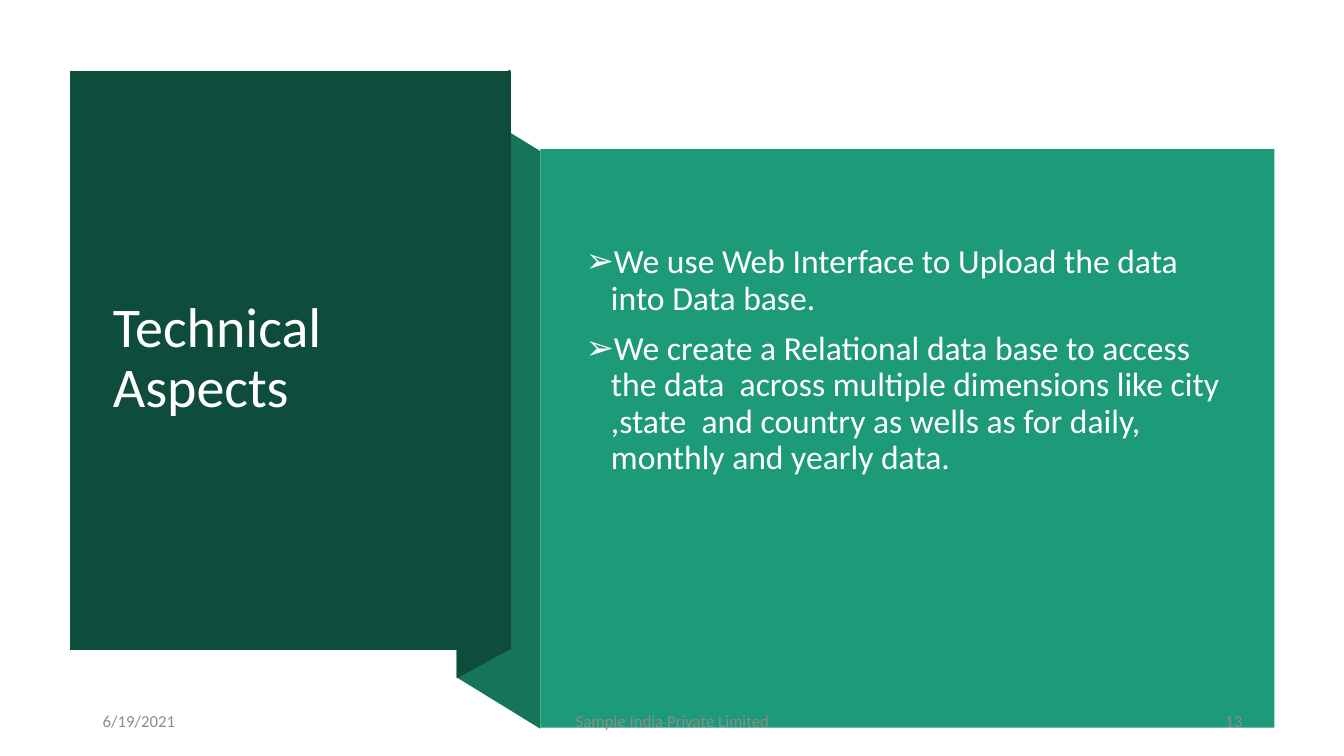
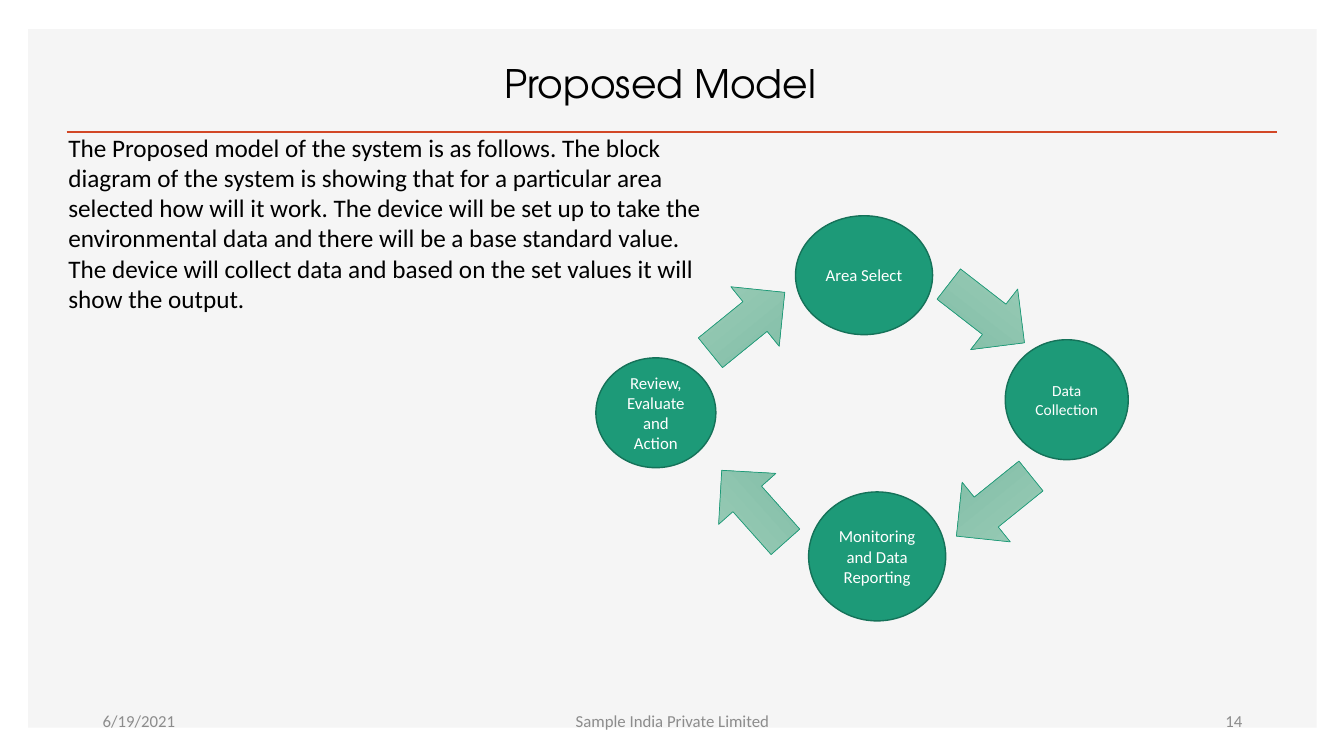
import dataclasses
import typing

import lxml.etree
import pptx
import pptx.dml.color
import pptx.enum.shapes
import pptx.enum.text
import pptx.oxml.ns
import pptx.util

Inches = pptx.util.Inches
Align = pptx.enum.text.PP_ALIGN
Anchor = pptx.enum.text.MSO_ANCHOR
Preset = pptx.enum.shapes.MSO_SHAPE


# Theme: colours, fonts and type sizes
@dataclasses.dataclass(frozen=True)
class Theme:
    white: str = "FFFFFF"
    black: str = "000000"
    green: str = "1D9A78"
    green_outline: str = "157259"
    fold_green: str = "16745A"
    dark_green: str = "0E4D3C"
    arrow_light: str = "9ECDBA"
    arrow_dark: str = "7DBCA3"
    backdrop: str = "F5F5F5"
    rule: str = "D24726"
    footer_grey: str = "8C8C8C"
    font: str = "Calibri"
    heading_font: str = "TeX Gyre Adventor"
    title_size: int = 40
    heading_size: int = 28
    list_size: int = 24
    text_size: int = 18
    small_size: int = 12
    tiny_size: int = 11


THEME = Theme()


class Box(typing.NamedTuple):
    left: float
    top: float
    width: float
    height: float


@dataclasses.dataclass(frozen=True)
class TextStyle:
    size: int
    color: str
    font: str = THEME.font
    align: Align = Align.LEFT
    anchor: Anchor = Anchor.MIDDLE
    line_spacing: float = 1.0
    space_before: float = 0


@dataclasses.dataclass(frozen=True)
class Outline:
    points: tuple[tuple[float, float], ...]
    color: str


@dataclasses.dataclass(frozen=True)
class Stage:
    text: str
    box: Box
    size: int = THEME.small_size


class Arrow(typing.NamedTuple):
    left: float
    top: float
    rotation: float


class FooterPart(typing.NamedTuple):
    text: str
    left: float
    width: float
    align: Align


TITLE = TextStyle(THEME.title_size, THEME.white, line_spacing=0.9)
HEADING = TextStyle(THEME.heading_size, THEME.black, THEME.heading_font, anchor=Anchor.TOP)
LIST = TextStyle(THEME.list_size, THEME.white, anchor=Anchor.TOP,
                 line_spacing=0.9, space_before=10)
BODY = TextStyle(THEME.text_size, THEME.black, anchor=Anchor.TOP)

# Slide content
DATE = "6/19/2021"
COMPANY = "Sample India Private Limited"
BULLETS = [
    "We use Web Interface to Upload the data into Data base.",
    "We create a Relational data base to access the data  across multiple dimensions "
    "like city ,state  and country as wells as for daily, monthly and yearly data.",
]
MODEL_TEXT = (
    "The Proposed model of the system is as follows. The block diagram of the system "
    "is showing that for a particular area selected how will it work. The device will "
    "be set up to take the environmental data and there will be a base standard value. "
    "The device will collect data and based on the set values it will show the output."
)
RIBBON = [
    Outline(((5.36, 7.23), (4.53, 6.72), (4.53, 0.99), (5.36, 1.5)), THEME.fold_green),
    Outline(((5.06, 6.44), (4.53, 6.73), (4.53, 0.98), (5.06, 0.69)), THEME.dark_green),
    Outline(((0.69, 0.7), (5.07, 0.7), (5.07, 6.45), (0.69, 6.45)), THEME.dark_green),
]
STAGES = [
    Stage("Area Select", Box(7.89, 2.14, 1.36, 1.18)),
    Stage("Data Collection", Box(9.97, 3.37, 1.22, 1.19), THEME.tiny_size),
    Stage("Monitoring and Data Reporting", Box(8.02, 4.88, 1.36, 1.28)),
    Stage("Review, Evaluate and Action", Box(5.91, 3.55, 1.19, 1.09)),
]
ARROWS = [
    Arrow(9.31, 2.73, 37.8),
    Arrow(9.38, 4.64, 141.1),
    Arrow(7, 4.64, 228.3),
    Arrow(6.94, 2.82, 320.9),
]


# Drawing helpers
def rgb(color: str) -> pptx.dml.color.RGBColor:
    return pptx.dml.color.RGBColor.from_string(color)


def lengths(box: Box) -> list[int]:
    return [Inches(value) for value in box]


def set_attributes(target: typing.Any, values: dict[str, typing.Any]) -> None:
    for name, value in values.items():
        setattr(target, name, value)


def write_text(shape: typing.Any, texts: list[str], style: TextStyle) -> None:
    frame = shape.text_frame
    frame.text = "\n".join(texts)
    set_attributes(frame, {
        "word_wrap": True,
        "auto_size": pptx.enum.text.MSO_AUTO_SIZE.NONE,
        "vertical_anchor": style.anchor,
    })
    for index, paragraph in enumerate(frame.paragraphs):
        set_attributes(paragraph, {
            "alignment": style.align,
            "line_spacing": style.line_spacing,
            "space_before": pptx.util.Pt(style.space_before if index else 0),
        })
        for run in paragraph.runs:
            set_attributes(run.font, {"name": style.font, "size": pptx.util.Pt(style.size)})
            run.font.color.rgb = rgb(style.color)


def fill_placeholder(slide: typing.Any, index: int, box: Box,
                     texts: list[str], style: TextStyle) -> typing.Any:
    """Move a placeholder, write it and bring it to the front."""
    shape = slide.placeholders[index]
    set_attributes(shape, dict(zip(("left", "top", "width", "height"), lengths(box))))
    write_text(shape, texts, style)
    slide.shapes._spTree.append(shape._element)
    return shape


def add_text(slide: typing.Any, box: Box, text: str, style: TextStyle) -> None:
    write_text(slide.shapes.add_textbox(*lengths(box)), [text], style)


def paint(shape: typing.Any, color: str) -> None:
    shape.shadow.inherit = False
    shape.fill.solid()
    shape.fill.fore_color.rgb = rgb(color)
    shape.line.fill.background()


def set_line(shape: typing.Any, color: str, width: float) -> None:
    shape.line.color.rgb = rgb(color)
    shape.line.width = pptx.util.Pt(width)


def add_panel(slide: typing.Any, preset: Preset, box: Box, color: str) -> typing.Any:
    shape = slide.shapes.add_shape(preset, *lengths(box))
    paint(shape, color)
    return shape


def add_outline(slide: typing.Any, outline: Outline) -> None:
    points = [(Inches(x), Inches(y)) for x, y in outline.points]
    builder = slide.shapes.build_freeform(*points[0], scale=1.0)
    builder.add_line_segments(points[1:], close=True)
    paint(builder.convert_to_shape(), outline.color)


def add_rule(slide: typing.Any, left: float, right: float, top: float) -> None:
    rule = slide.shapes.add_connector(
        pptx.enum.shapes.MSO_CONNECTOR.STRAIGHT,
        Inches(left), Inches(top), Inches(right), Inches(top))
    set_line(rule, THEME.rule, 2)
    lxml.etree.SubElement(rule._element.spPr, pptx.oxml.ns.qn("a:effectLst"))


def add_bullets(shape: typing.Any, symbol: str, indent: float) -> None:
    for paragraph in shape.text_frame.paragraphs:
        properties = paragraph._p.get_or_add_pPr()
        properties.set("marL", str(Inches(indent)))
        properties.set("indent", str(-Inches(indent)))
        bullet = lxml.etree.SubElement(properties, pptx.oxml.ns.qn("a:buChar"))
        bullet.set("char", symbol)


def add_stage(slide: typing.Any, stage: Stage) -> None:
    circle = add_panel(slide, Preset.FLOWCHART_CONNECTOR, stage.box, THEME.green)
    set_line(circle, THEME.green_outline, 1)
    write_text(circle, [stage.text], TextStyle(stage.size, THEME.white, align=Align.CENTER))


def add_arrow(slide: typing.Any, arrow: Arrow) -> None:
    shape = add_panel(slide, Preset.RIGHT_ARROW,
                      Box(arrow.left, arrow.top, 0.95, 0.76), THEME.arrow_light)
    shape.rotation = arrow.rotation
    shape.fill.gradient()
    shape.fill.gradient_angle = 270
    for stop, color in zip(shape.fill.gradient_stops, (THEME.arrow_light, THEME.arrow_dark)):
        stop.color.rgb = rgb(color)
    set_line(shape, THEME.green, 0.5)


def add_footer(slide: typing.Any, number: int) -> None:
    parts = [
        FooterPart(DATE, 0.92, 3, Align.LEFT),
        FooterPart(COMPANY, 4.42, 4.5, Align.CENTER),
        FooterPart(str(number), 9.42, 3, Align.RIGHT),
    ]
    for part in parts:
        style = TextStyle(THEME.small_size, THEME.footer_grey, align=part.align)
        add_text(slide, Box(part.left, 6.95, part.width, 0.4), part.text, style)


# Slides
def build_technical_aspects(presentation: typing.Any) -> None:
    slide = presentation.slides.add_slide(presentation.slide_layouts[1])
    for outline in RIBBON:
        add_outline(slide, outline)
    add_panel(slide, Preset.RECTANGLE, Box(5.36, 1.48, 7.28, 5.74), THEME.green)
    fill_placeholder(slide, 0, Box(1.02, 1.07, 3.71, 4.99), ["Technical Aspects"], TITLE)
    body = fill_placeholder(slide, 1, Box(5.71, 2.38, 6.51, 4.24), BULLETS, LIST)
    add_bullets(body, "➢", 0.25)
    add_footer(slide, 13)


def build_proposed_model(presentation: typing.Any) -> None:
    slide = presentation.slides.add_slide(presentation.slide_layouts[5])
    add_panel(slide, Preset.RECTANGLE, Box(0.28, 0.29, 12.78, 6.93), THEME.backdrop)
    add_rule(slide, 0.66, 12.67, 1.31)
    add_footer(slide, 14)
    add_text(slide, Box(0.58, 1.26, 6.67, 1.92), MODEL_TEXT, BODY)
    for stage in STAGES:
        add_stage(slide, stage)
    for arrow in ARROWS:
        add_arrow(slide, arrow)
    fill_placeholder(slide, 0, Box(4.9, 0.54, 6.36, 0.57), ["Proposed Model"], HEADING)


def main() -> None:
    presentation = pptx.Presentation()
    set_attributes(presentation, {"slide_width": Inches(13.33), "slide_height": Inches(7.5)})
    build_technical_aspects(presentation)
    build_proposed_model(presentation)
    presentation.save("out.pptx")


if __name__ == "__main__":
    main()
